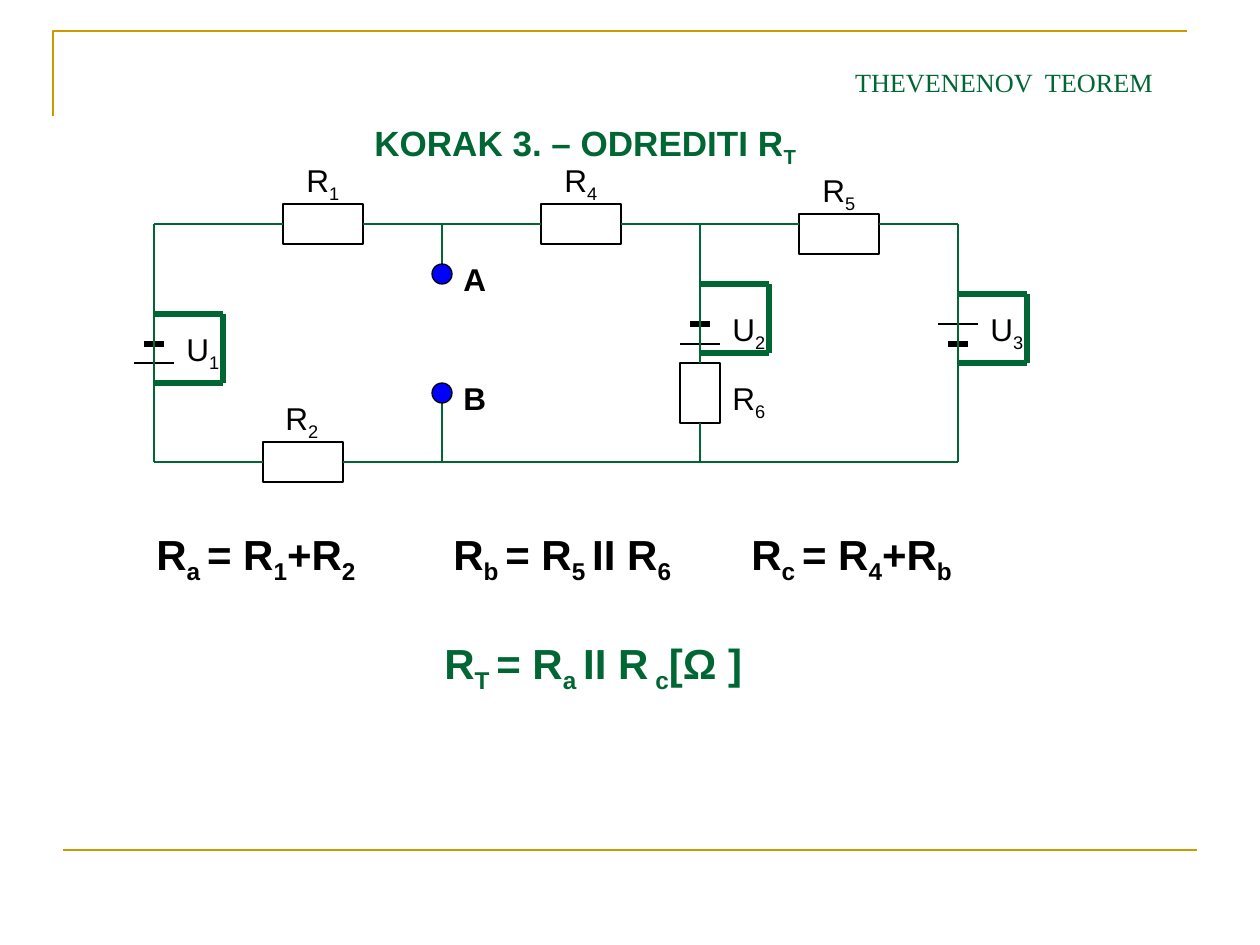
from dataclasses import dataclass

from lxml.etree import SubElement as Sub
from pptx import Presentation as Deck
from pptx.dml.color import RGBColor as RGB
from pptx.enum.shapes import MSO_CONNECTOR as Conn, MSO_SHAPE as Kind
from pptx.enum.text import MSO_ANCHOR as Anchor, MSO_AUTO_SIZE as Fit, PP_ALIGN as Align
from pptx.oxml.ns import qn
from pptx.shapes.autoshape import Shape
from pptx.slide import Slide
from pptx.util import Emu, Pt

PX = 914400 / 126
GREEN = RGB(0x00, 0x66, 0x33)
GOLD = RGB(0xCC, 0x99, 0x00)
BLACK = RGB(0x00, 0x00, 0x00)
WHITE = RGB(0xFF, 0xFF, 0xFF)
BLUE = RGB(0x00, 0x00, 0xFF)
TOP, LOW = 224, 462
LEFT, PORT, MID, RIGHT = 154, 442, 700, 958
Point = tuple[int, int]
Joint = tuple[Shape, int]


@dataclass(frozen=True)
class Part:
    """A resistor box with the place of its label."""
    name: str
    x: int
    y: int
    tag: Point
    w: int = 80
    h: int = 40


@dataclass(frozen=True)
class Cell:
    """A voltage source with its plates and the top of its bridge."""
    name: str
    x: int
    thick: int
    thin: int
    top: int


@dataclass(frozen=True)
class Port:
    """An open terminal with its centre height."""
    name: str
    y: int
    rail: int


@dataclass(frozen=True)
class Note:
    """A line of bold text, with bars around the lowered pieces."""
    text: str
    x: int
    y: int
    w: int
    h: int = 71
    size: int = 24
    color: RGB = BLACK


PARTS = [
    Part("R|1", 283, TOP - 20, (294, 155)),
    Part("R|2", 263, LOW - 20, (273, 393)),
    Part("R|4", 541, TOP - 20, (552, 155)),
    Part("R|5", 799, TOP - 10, (810, 165)),
    Part("R|6", MID - 20, 363, (720, 373), 40, 60),
]
CELLS = [
    Cell("U|1", LEFT, 344, 363, 314),
    Cell("U|2", MID, 324, 344, 284),
    Cell("U|3", RIGHT, 344, 324, 294),
]
PORTS = [Port("A", 274, TOP), Port("B", 393, LOW)]
NOTES = [
    Note("KORAK 3. – ODREDITI R|T", 362, 115, 476, 60, 20, GREEN),
    Note("R|a |= R|1|+R|2", 144, 522, 297),
    Note("R|b |= R|5 |II R|6", 441, 522, 297),
    Note("R|c |= R|4|+R|b", 739, 522, 297),
    Note("R|T |= R|a |II R| c|[Ω ]", 432, 631, 358, color=GREEN),
]


def px(n: int) -> Emu:
    """Turn pixels into EMU."""
    return Emu(round(n * PX))


def line(slide: Slide, a: Point | Joint, b: Point | Joint,
         color: RGB = GREEN, width: float = 1) -> None:
    """Draw a line between points or the sides of shapes."""
    ends = [(0, 0) if isinstance(e[0], Shape) else e for e in (a, b)]
    wire = slide.shapes.add_connector(Conn.STRAIGHT, *(px(n) for e in ends for n in e))
    for end, join in ((a, wire.begin_connect), (b, wire.end_connect)):
        if isinstance(end[0], Shape):
            join(*end)
    wire.line.color.rgb = color
    wire.line.width = Pt(width)
    Sub(wire.element.spPr, qn("a:effectLst"))


def box(slide: Slide, kind: Kind, x: int, y: int, w: int, h: int, fill: RGB) -> Shape:
    """Draw a filled shape with a thin black outline."""
    shape = slide.shapes.add_shape(kind, px(x), px(y), px(w), px(h))
    shape.shadow.inherit = False
    shape.fill.solid()
    shape.fill.fore_color.rgb = fill
    shape.line.color.rgb = BLACK
    shape.line.width = Pt(0.75)
    return shape


def label(slide: Slide, note: Note, bold: bool = True, wrap: bool = True) -> None:
    """Write text whose every second piece is lowered."""
    area = slide.shapes.add_textbox(px(note.x), px(note.y), px(note.w), px(note.h))
    area.text_frame.word_wrap = wrap
    para = area.text_frame.paragraphs[0]
    for i, piece in enumerate(note.text.split("|")):
        run = para.add_run()
        run.text = piece
        run.font.name = "Arial"
        run.font.size = Pt(note.size)
        run.font.bold = bold
        run.font.color.rgb = note.color
        if i % 2:
            run.font._element.set("baseline", "-25000")


def tag(slide: Slide, name: str, x: int, y: int) -> None:
    """Name a part of the circuit."""
    label(slide, Note(name, x, y, 58, 55, 18), bold=False, wrap=False)


def resist(slide: Slide, part: Part) -> Shape:
    """Draw a resistor and its name."""
    tag(slide, part.name, *part.tag)
    return box(slide, Kind.RECTANGLE, part.x, part.y, part.w, part.h, WHITE)


def source(slide: Slide, cell: Cell) -> None:
    """Draw a source bridged by a short circuit."""
    for y, half, width in ((cell.thick, 10, 3), (cell.thin, 20, 0.75)):
        line(slide, (cell.x - half, y), (cell.x + half, y), BLACK, width)
    far, end = cell.x + 69, cell.top + 69
    path = [(cell.x, cell.top), (far, cell.top), (far, end), (cell.x, end)]
    for a, b in zip(path, path[1:]):
        line(slide, a, b, width=3)
    tag(slide, cell.name, cell.x + 20, min(cell.thick, cell.thin) - 20)


def node(slide: Slide, port: Port) -> None:
    """Draw an open terminal and its wire."""
    line(slide, (PORT, port.rail), (PORT, port.y))
    box(slide, Kind.OVAL, PORT - 10, port.y - 10, 20, 20, BLUE)
    label(slide, Note(port.name, 451, port.y - 20, 79, 50, 18))


def frame(slide: Slide) -> None:
    """Draw the gold corner and the bottom rule."""
    pen = slide.shapes.build_freeform(px(53), px(116))
    pen.add_line_segments([(px(53), px(31)), (px(1187), px(31))], close=False)
    edge = pen.convert_to_shape()
    edge.shadow.inherit = False
    edge.fill.background()
    edge.line.color.rgb = GOLD
    edge.line.width = Pt(1.5)
    line(slide, (63, 850), (1197, 850), GOLD, 1.5)


def head(slide: Slide) -> None:
    """Place and format the title."""
    title = slide.shapes.title
    title.left, title.top, title.width, title.height = map(px, (748, 35, 512, 69))
    text = title.text_frame
    text.text = "THEVENENOV  TEOREM"
    text.auto_size = Fit.NONE
    text.vertical_anchor = Anchor.BOTTOM
    para = text.paragraphs[0]
    para.alignment = Align.CENTER
    font = para.runs[0].font
    font.name = "Times New Roman"
    font.size = Pt(15)
    font.color.rgb = GREEN


def main() -> None:
    """Build the slide and save it."""
    deck = Deck()
    deck.slide_width, deck.slide_height = px(1260), px(945)
    slide = deck.slides.add_slide(deck.slide_layouts[5])
    frame(slide)
    head(slide)
    for cell in CELLS:
        source(slide, cell)
    r1, r2, r4, r5, r6 = [resist(slide, part) for part in PARTS]
    wires = [
        ((LEFT, TOP), (r1, 1)), ((r1, 3), (r4, 1)),
        ((r4, 3), (799, TOP)), ((879, TOP), (RIGHT, TOP)),
        ((LEFT, LOW), (r2, 1)), ((r2, 3), (RIGHT, LOW)),
        ((LEFT, TOP), (LEFT, LOW)), ((RIGHT, TOP), (RIGHT, LOW)),
        ((MID, TOP), (r6, 0)), ((r6, 2), (MID, LOW)),
    ]
    for a, b in wires:
        line(slide, a, b)
    for port in PORTS:
        node(slide, port)
    for note in NOTES:
        label(slide, note)
    deck.save("out.pptx")


if __name__ == "__main__":
    main()
